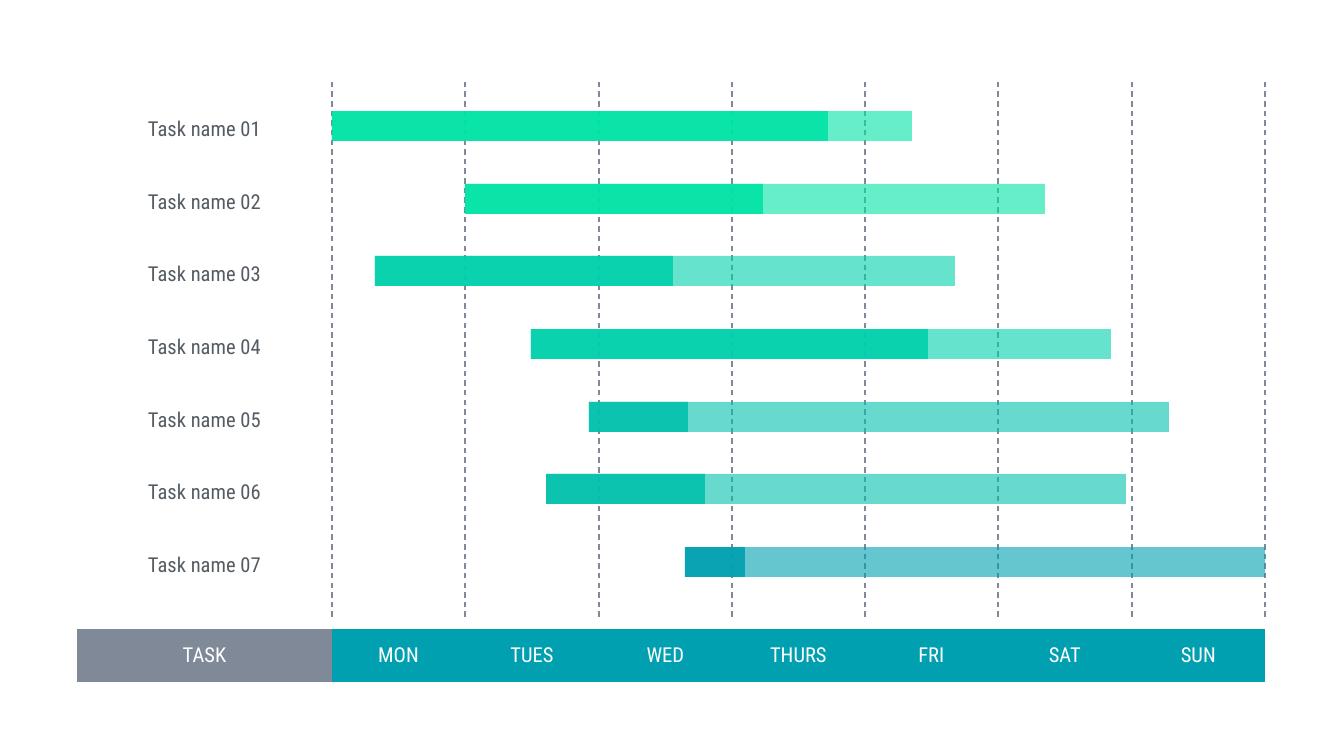
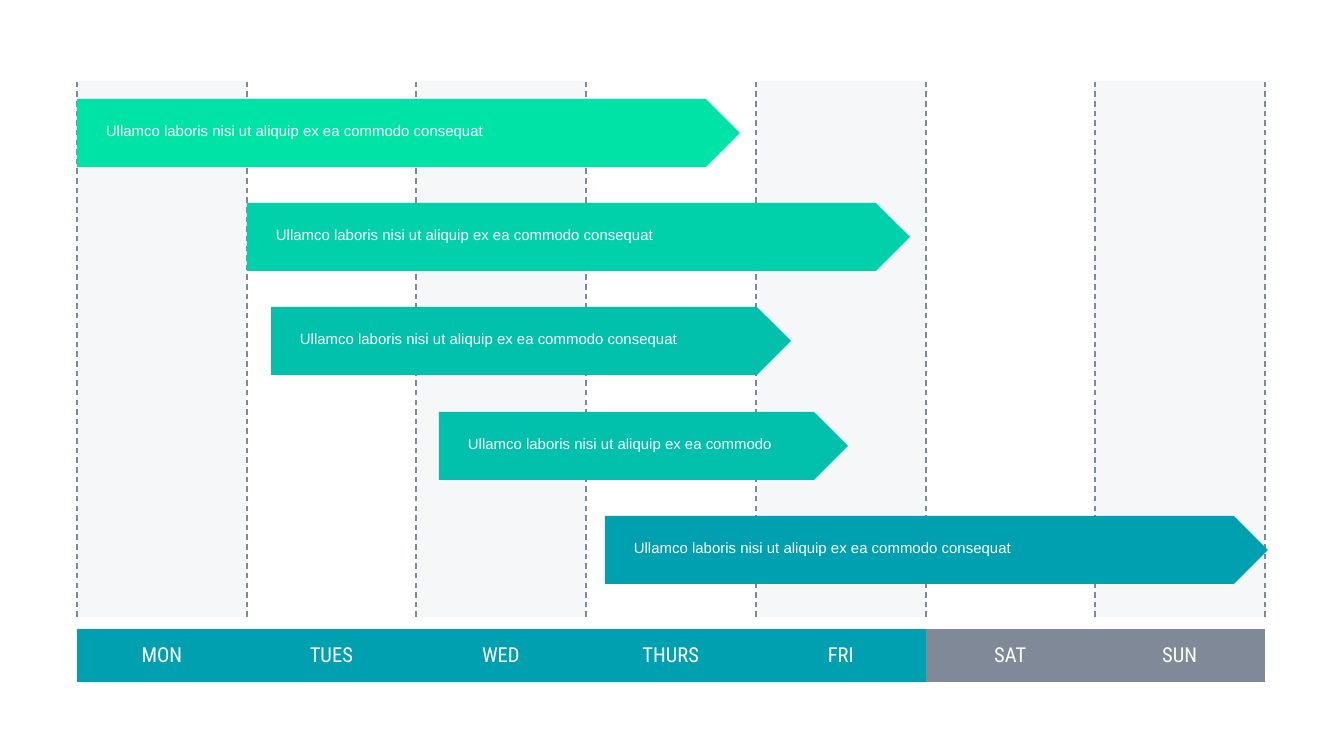
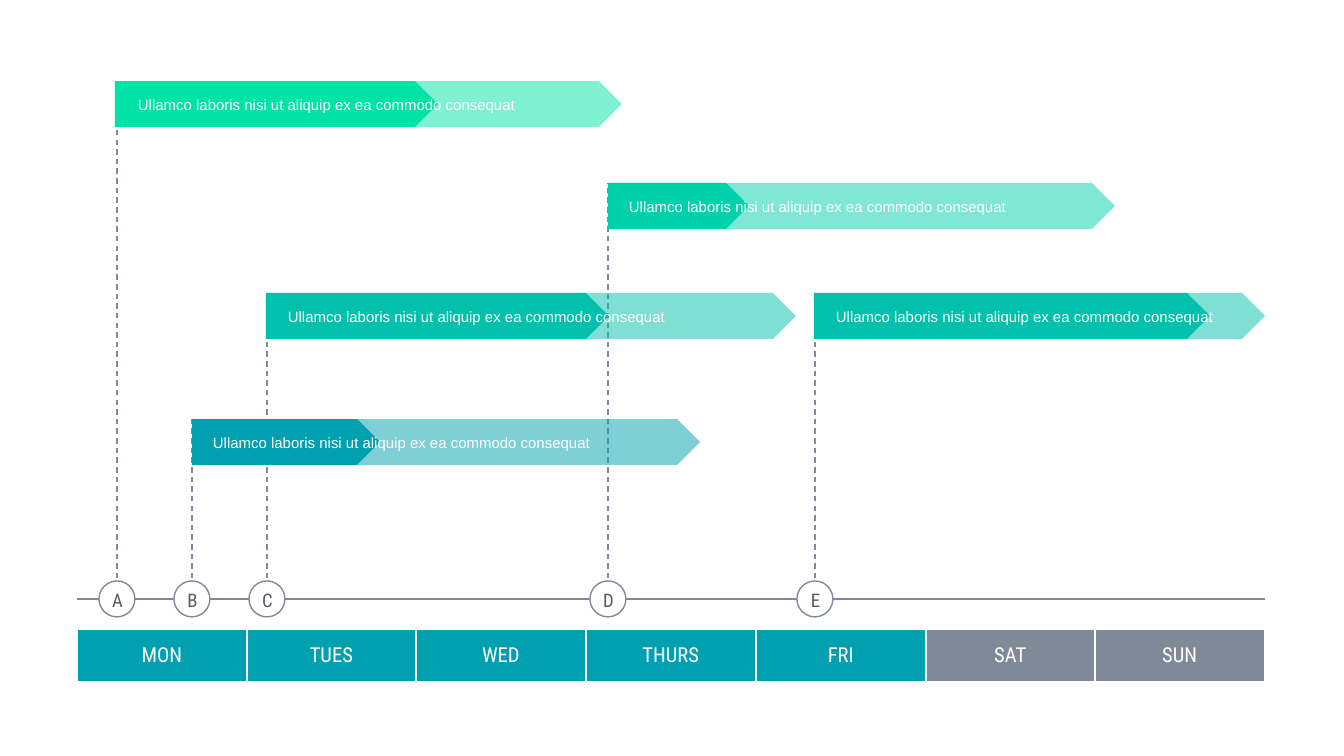
from typing import NamedTuple

from lxml import etree
from pptx import Presentation
from pptx import util as u
from pptx.dml.color import RGBColor
from pptx.enum import dml, shapes, text
from pptx.oxml import ns

PX = 914400 / 134.4
COLORS = {
    "mint": "00E3A6",
    "green": "00D1AB",
    "turquoise": "02C1AC",
    "teal": "00A0B1",
    "gray": "7F8998",
    "pale": "EEF0F4",
    "ink": "545B63",
    "white": "FFFFFF",
}
HEADING_FONT, BODY_FONT = "Roboto Condensed", "Arial"
RECTANGLE = shapes.MSO_SHAPE.RECTANGLE
ARROW = shapes.MSO_SHAPE.PENTAGON
PLAIN_TABLE = "{2D5ABB26-0587-4C30-8999-92F81FD0307C}"

DAYS = ["MON", "TUES", "WED", "THURS", "FRI", "SAT", "SUN"]
WEEK_COLORS = ["teal"] * 5 + ["gray"] * 2
LEFT, RIGHT = 77, 1265
TASK_RIGHT = 332
GRID_TOP, GRID_BOTTOM = 81, 617
HEADER_TOP, HEADER_HEIGHT = 629, 53
SENTENCE = "Ullamco laboris nisi ut aliquip ex ea commodo consequat"


class Progress(NamedTuple):
    start: int
    done: int
    color: str


class Activity(NamedTuple):
    start: int
    width: int
    color: str
    caption: str = SENTENCE


class Milestone(NamedTuple):
    letter: str
    pin: int
    start: int
    top: int
    width: int
    done: int
    color: str


TASKS = [
    Progress(332, 496, "mint"),
    Progress(465, 298, "mint"),
    Progress(375, 298, "green"),
    Progress(531, 397, "green"),
    Progress(589, 99, "turquoise"),
    Progress(546, 159, "turquoise"),
    Progress(685, 60, "teal"),
]
ACTIVITIES = [
    Activity(77, 663, "mint"),
    Activity(247, 663, "green"),
    Activity(271, 520, "turquoise"),
    Activity(439, 409, "turquoise", "Ullamco laboris nisi ut aliquip ex ea commodo"),
    Activity(605, 663, "teal"),
]
MILESTONES = [
    Milestone("A", 117, 115, 81, 507, 323, "mint"),
    Milestone("B", 192, 192, 419, 508, 188, "teal"),
    Milestone("C", 267, 266, 293, 530, 343, "turquoise"),
    Milestone("D", 608, 608, 183, 507, 141, "green"),
    Milestone("E", 815, 814, 293, 451, 396, "turquoise"),
]


def px(length: int) -> u.Emu:
    return u.Emu(round(length * PX))


def rgb(name: str) -> RGBColor:
    return RGBColor.from_string(COLORS[name])


def day_edges(left: int) -> list[int]:
    """Edges of seven equal day columns ending at the right margin."""
    return [left + round((RIGHT - left) * i / len(DAYS)) for i in range(len(DAYS) + 1)]


def write(frame, content: str, *, size: int = 11, font: str = HEADING_FONT,
          color: str = "white", centered: bool = True) -> None:
    paragraph = frame.paragraphs[0]
    paragraph.alignment = text.PP_ALIGN.CENTER if centered else text.PP_ALIGN.LEFT
    run = paragraph.add_run()
    run.text = content
    run.font.size = u.Pt(size)
    run.font.name = font
    run.font.color.rgb = rgb(color)


def add_label(container, content: str, left: int, top: int, width: int, height: int,
              *, side_inset: int = 3, **text_format) -> None:
    box = container.add_textbox(px(left), px(top), px(width), px(height))
    frame = box.text_frame
    frame.word_wrap = True
    frame.margin_left = frame.margin_right = px(side_inset)
    frame.margin_top = frame.margin_bottom = px(3)
    write(frame, content, **text_format)


def add_caption(container, content: str, left: int, top: int) -> None:
    add_label(container, content, left, top, 418, 24, side_inset=5,
              size=8, font=BODY_FONT, centered=False)


def add_block(container, kind, left: int, top: int, width: int, height: int,
              color: str, *, opacity: int = 100, outline: str | None = None) -> None:
    shape = container.add_shape(kind, px(left), px(top), px(width), px(height))
    shape.shadow.inherit = False
    shape.fill.solid()
    shape.fill.fore_color.rgb = rgb(color)
    if opacity < 100:
        fill_color = shape._element.spPr.find(".//" + ns.qn("a:srgbClr"))
        etree.SubElement(fill_color, ns.qn("a:alpha"), val=str(opacity * 1000))
    if outline:
        shape.line.color.rgb = rgb(outline)
        shape.line.width = u.Pt(0.75)
    else:
        shape.line.fill.background()


def add_line(container, x1: int, y1: int, x2: int, y2: int, *, dashed: bool = True) -> None:
    line = container.add_connector(shapes.MSO_CONNECTOR.STRAIGHT, px(x1), px(y1), px(x2), px(y2))
    line.line.color.rgb = rgb("gray")
    line.line.width = u.Pt(0.75)
    if dashed:
        line.line.dash_style = dml.MSO_LINE.DASH
    etree.SubElement(line._element.spPr, ns.qn("a:effectLst"))


def add_day_lines(container, left: int) -> None:
    for x in day_edges(left):
        add_line(container, x, GRID_BOTTOM, x, GRID_TOP)


def add_borders(cell) -> None:
    properties = cell._tc.get_or_add_tcPr()
    for index, side in enumerate(("lnL", "lnR", "lnT", "lnB")):
        border = etree.Element(ns.qn(f"a:{side}"), w=str(u.Pt(1)))
        fill = etree.SubElement(border, ns.qn("a:solidFill"))
        etree.SubElement(fill, ns.qn("a:srgbClr"), val=COLORS["white"])
        properties.insert(index, border)


def add_header(container, names: list[str], colors: list[str], edges: list[int],
               *, bordered: bool = False) -> None:
    frame = container.add_table(1, len(names), px(LEFT), px(HEADER_TOP),
                                px(RIGHT - LEFT), px(HEADER_HEIGHT))
    table = frame.table
    table.first_row = table.horz_banding = False
    table._tbl.tblPr.find(ns.qn("a:tableStyleId")).text = PLAIN_TABLE
    for i, (name, color) in enumerate(zip(names, colors)):
        table.columns[i].width = px(edges[i + 1] - edges[i])
        cell = table.cell(0, i)
        cell.vertical_anchor = text.MSO_ANCHOR.MIDDLE
        cell.margin_left = cell.margin_right = px(5)
        cell.margin_top = cell.margin_bottom = px(3)
        cell.fill.solid()
        cell.fill.fore_color.rgb = rgb(color)
        write(cell.text_frame, name)
        if bordered:
            add_borders(cell)


def build_progress_slide(slide) -> None:
    canvas = slide.shapes
    # Header and day grid
    add_header(canvas, ["TASK"] + DAYS, ["gray"] + ["teal"] * 7, [LEFT] + day_edges(TASK_RIGHT))
    add_day_lines(canvas, TASK_RIGHT)
    # Task names with planned and finished bars
    for i, task in enumerate(TASKS):
        top = 111 + round(436 * i / 6)
        add_label(canvas, f"Task name {i + 1:02}", LEFT, top + 2, TASK_RIGHT - LEFT, 30, color="ink")
        bar = canvas.add_group_shape().shapes
        for width, opacity in ((580, 60), (task.done, 90)):
            add_block(bar, RECTANGLE, task.start, top, width, 30, task.color, opacity=opacity)


def build_activity_slide(slide) -> None:
    canvas = slide.shapes
    edges = day_edges(LEFT)
    # Shaded alternate days
    for left, right in zip(edges[:-1:2], edges[1::2]):
        add_block(canvas, RECTANGLE, left, GRID_TOP, right - left, GRID_BOTTOM - GRID_TOP,
                  "pale", opacity=50)
    # Header and day grid
    add_header(canvas, DAYS, WEEK_COLORS, edges)
    add_day_lines(canvas, LEFT)
    # Activity arrows
    for i, activity in enumerate(ACTIVITIES):
        top = 99 + round(417 * i / 4)
        arrow = canvas.add_group_shape().shapes
        add_block(arrow, ARROW, activity.start, top, activity.width, 68, activity.color)
        add_caption(arrow, activity.caption, activity.start + 24, top + 20)


def build_milestone_slide(slide) -> None:
    canvas = slide.shapes
    # Axis and lettered pins
    add_line(canvas, LEFT, 599, RIGHT, 599, dashed=False)
    for stone in MILESTONES:
        add_line(canvas, stone.pin, GRID_BOTTOM, stone.pin, stone.top)
        add_block(canvas, shapes.MSO_SHAPE.OVAL, stone.pin - 18, 581, 36, 36,
                  "white", outline="gray")
        add_label(canvas, stone.letter, stone.pin - 17, 586, 35, 27, size=10, color="ink")
    add_header(canvas, DAYS, WEEK_COLORS, day_edges(LEFT), bordered=True)
    # Planned and finished arrows
    for stone in MILESTONES:
        arrow = canvas.add_group_shape().shapes
        for width, opacity in ((stone.width, 50), (stone.done, 100)):
            add_block(arrow, ARROW, stone.start, stone.top, width, 46, stone.color, opacity=opacity)
        add_caption(arrow, SENTENCE, stone.pin + 16, stone.top + 12)


def main() -> None:
    presentation = Presentation()
    presentation.slide_width, presentation.slide_height = px(1344), px(756)
    blank = presentation.slide_layouts[6]
    for build in (build_progress_slide, build_activity_slide, build_milestone_slide):
        build(presentation.slides.add_slide(blank))
    presentation.save("out.pptx")


if __name__ == "__main__":
    main()
